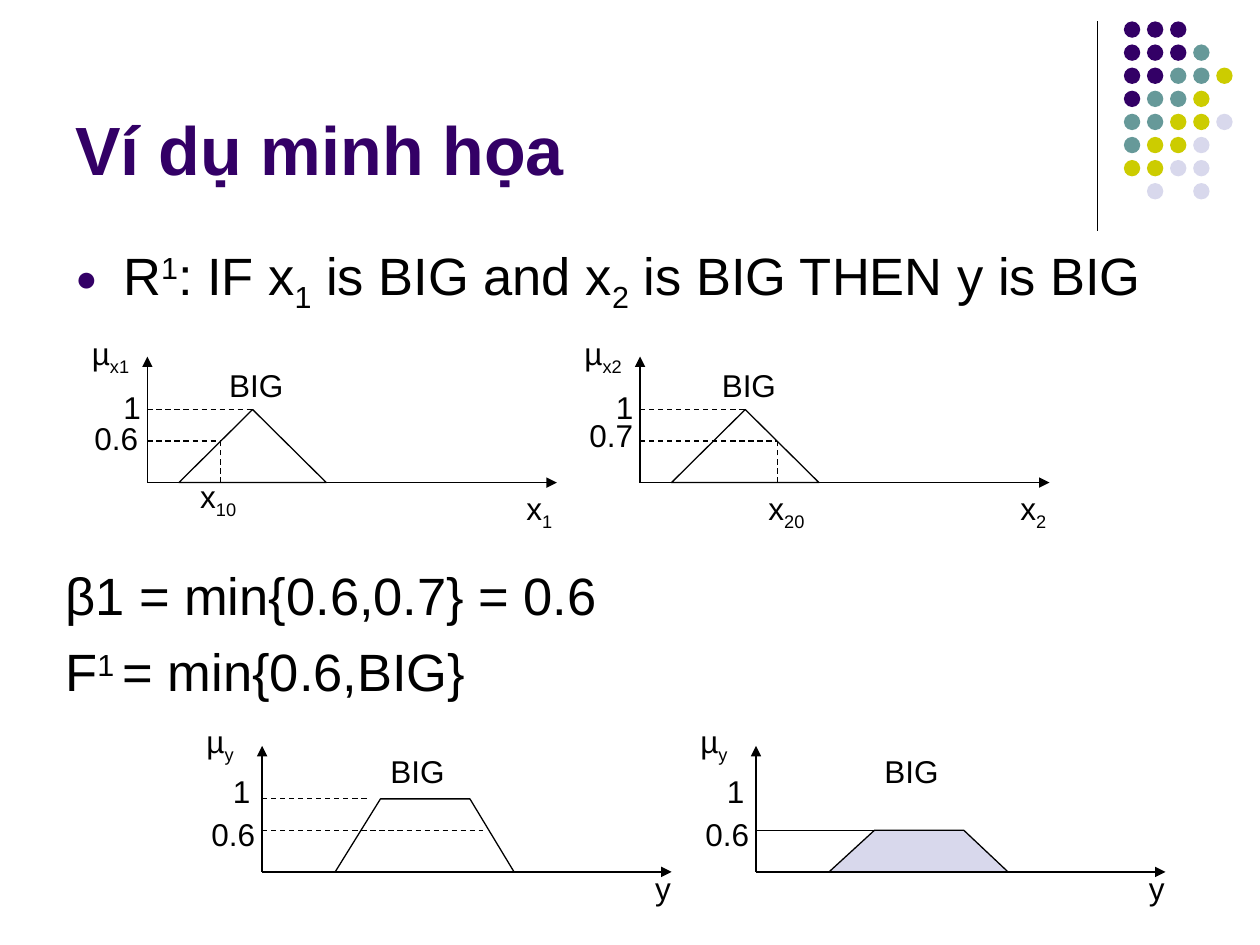
from dataclasses import dataclass

from lxml import etree
from pptx import Presentation
from pptx.dml.color import RGBColor
from pptx.enum.dml import MSO_LINE
from pptx.enum.shapes import MSO_CONNECTOR, MSO_SHAPE
from pptx.enum.text import MSO_ANCHOR
from pptx.oxml.ns import qn
from pptx.util import Inches, Pt

STRAIGHT = MSO_CONNECTOR.STRAIGHT
OVAL, TRIANGLE = MSO_SHAPE.OVAL, MSO_SHAPE.ISOSCELES_TRIANGLE
DASH = MSO_LINE.DASH
TOP, BOTTOM = MSO_ANCHOR.TOP, MSO_ANCHOR.BOTTOM


@dataclass(frozen=True)
class Theme:
    font: str = "Arial"
    ink: str = "000000"
    purple: str = "330066"
    teal: str = "669999"
    yellow: str = "CCCC00"
    lavender: str = "D8D8EC"
    title_size: float = 39
    body_size: float = 30
    label_size: float = 18
    line_width: float = 0.75
    body_gap: float = 7.5


THEME = Theme()
SUP, SUB = 30, -25

TITLE = [("Ví dụ minh họa", 0)]
RULE = [("R", 0), ("1", SUP), (": IF x", 0), ("1", SUB), (" is BIG and x", 0),
        ("2", SUB), (" is BIG THEN y is BIG", 0)]
RESULTS = [
    [("β1 = min{0.6,0.7} = 0.6", 0)],
    [("F", 0), ("1 ", SUP), ("= min{0.6,BIG}", 0)],
]

DOT_ROWS = ["PPP", "PPPT", "PPTTY", "PTTY", "TTYYL", "TYYL", "YYLL", " L L"]
DOT_COLORS = {"P": THEME.purple, "T": THEME.teal, "Y": THEME.yellow, "L": THEME.lavender}
DOT_LEFT, DOT_TOP, DOT_SIZE, DOT_PITCH = 8.92, 0.17, 0.13, 0.18 + 0.01 / 3

AXIS_WIDTH, AXIS_HEIGHT = 3.25, 1
FULL, CUT = 0.58, 0.33
TRIANGLE_LEFT, TRIANGLE_WIDTH = 0.25, 1.17
TRAPEZOID_BASE, TRAPEZOID_TOP = (0.58, 2), (0.94, 1.65)
LABEL_WIDTH = 0.75

INPUT_LABELS = [("1", "", -0.29, -0.8), ("BIG", "", 0.55, -0.97)]
OUTPUT_LABELS = [("µ", "y", -0.54, -1.24), ("y", "", 3.02, -0.07), ("1", "", -0.33, -0.84),
                 ("BIG", "", 0.92, -1), ("0.6", "", -0.5, -0.5)]

CHARTS = [
    {"origin": (1.17, 3.83), "shape": "triangle", "height": FULL, "fill": None,
     "guides": [(0, FULL, 0.83, FULL), (0, CUT, 0.58, CUT), (0.58, 0, 0.58, CUT)],
     "dash": DASH,
     "labels": INPUT_LABELS + [("µ", "x1", -0.54, -1.23), ("x", "1", 2.91, 0),
                               ("x", "10", 0.32, -0.09), ("0.6", "", -0.52, -0.55)]},
    {"origin": (5.08, 3.83), "shape": "triangle", "height": FULL, "fill": None,
     "guides": [(0, FULL, 0.83, FULL), (0, CUT, 1.09, CUT), (1.09, 0, 1.09, CUT)],
     "dash": DASH,
     "labels": INPUT_LABELS + [("µ", "x2", -0.54, -1.23), ("x", "2", 2.92, 0),
                               ("x", "20", 0.92, 0), ("0.7", "", -0.5, -0.58)]},
    {"origin": (2.08, 6.92), "shape": "trapezoid", "height": FULL, "fill": None,
     "guides": [(0, FULL, 0.83, FULL), (0, CUT, 1.75, CUT)],
     "dash": DASH, "labels": OUTPUT_LABELS},
    {"origin": (6, 6.92), "shape": "trapezoid", "height": CUT, "fill": THEME.lavender,
     "guides": [(0, CUT, 1.42, CUT)],
     "dash": None, "labels": OUTPUT_LABELS},
]


def rgb(value):
    return RGBColor.from_string(value)


def add_text(page, area, paragraphs, size, color=THEME.ink, bold=False,
             anchor=TOP, hanging=0, bullet=None):
    box = page.shapes.add_textbox(*(Inches(part) for part in area))
    frame = box.text_frame
    frame.word_wrap = True
    frame.vertical_anchor = anchor
    for index, spans in enumerate(paragraphs):
        para = frame.paragraphs[0] if index == 0 else frame.add_paragraph()
        if index:
            para.space_before = Pt(THEME.body_gap)
        props = para._p.get_or_add_pPr()
        if hanging:
            props.set("marL", str(Inches(hanging)))
            props.set("indent", str(-Inches(hanging)))
        if bullet:
            tint = etree.SubElement(props, qn("a:buClr"))
            etree.SubElement(tint, qn("a:srgbClr"), val=THEME.purple)
            etree.SubElement(props, qn("a:buSzPct"), val="70000")
            etree.SubElement(props, qn("a:buFont"), typeface=THEME.font)
            etree.SubElement(props, qn("a:buChar"), char=bullet)
        for words, baseline in spans:
            span = para.add_run()
            span.text = words
            span.font.name = THEME.font
            span.font.size = Pt(size)
            span.font.bold = bold
            span.font.color.rgb = rgb(color)
            if baseline:
                span._r.get_or_add_rPr().set("baseline", str(baseline * 1000))


def add_line(page, start, end, dash=None, arrow=False):
    line = page.shapes.add_connector(STRAIGHT, *(Inches(part) for part in (*start, *end)))
    line.line.color.rgb = rgb(THEME.ink)
    line.line.width = Pt(THEME.line_width)
    if dash:
        line.line.dash_style = dash
    if arrow:
        etree.SubElement(line.line._get_or_add_ln(), qn("a:tailEnd"), type="triangle")
    etree.SubElement(line._element.spPr, qn("a:effectLst"))


def style_shape(shape, fill=None, outline=None):
    shape.shadow.inherit = False
    if fill:
        shape.fill.solid()
        shape.fill.fore_color.rgb = rgb(fill)
    else:
        shape.fill.background()
    if outline:
        shape.line.color.rgb = rgb(outline)
        shape.line.width = Pt(THEME.line_width)
    else:
        shape.line.fill.background()


def add_dots(page):
    for row, codes in enumerate(DOT_ROWS):
        for column, code in enumerate(codes):
            if code in DOT_COLORS:
                dot = page.shapes.add_shape(
                    OVAL, Inches(DOT_LEFT + column * DOT_PITCH),
                    Inches(DOT_TOP + row * DOT_PITCH), Inches(DOT_SIZE), Inches(DOT_SIZE))
                style_shape(dot, DOT_COLORS[code])


def add_membership(page, chart):
    left, base = chart["origin"]
    height = chart["height"]
    if chart["shape"] == "triangle":
        shape = page.shapes.add_shape(
            TRIANGLE, Inches(left + TRIANGLE_LEFT), Inches(base - height),
            Inches(TRIANGLE_WIDTH), Inches(height))
    else:
        (base_start, base_end), (top_start, top_end) = TRAPEZOID_BASE, TRAPEZOID_TOP
        corners = [(base_start, 0), (top_start, height), (top_end, height), (base_end, 0)]
        points = [(Inches(left + x), Inches(base - y)) for x, y in corners]
        outline = page.shapes.build_freeform(*points[0])
        outline.add_line_segments(points[1:], close=True)
        shape = outline.convert_to_shape()
    style_shape(shape, chart["fill"], THEME.ink)


def add_fuzzy_chart(page, chart):
    left, base = chart["origin"]
    add_line(page, (left, base), (left, base - AXIS_HEIGHT), arrow=True)
    add_line(page, (left, base), (left + AXIS_WIDTH, base), arrow=True)
    add_membership(page, chart)
    for x1, y1, x2, y2 in chart["guides"]:
        add_line(page, (left + x1, base - y1), (left + x2, base - y2), chart["dash"])
    for words, index, dx, dy in chart["labels"]:
        spans = [(words, 0)] + ([(index, SUB)] if index else [])
        area = (left + dx, base + dy, LABEL_WIDTH, 0.44 if index else 0.4)
        add_text(page, area, [spans], THEME.label_size)


def main():
    deck = Presentation()
    deck.slide_width, deck.slide_height = Inches(10), Inches(7.5)
    page = deck.slides.add_slide(deck.slide_layouts[6])
    add_line(page, (8.71, 0.17), (8.71, 1.83))
    add_dots(page)
    add_text(page, (0.5, 0.13, 8.25, 1.42), [TITLE], THEME.title_size,
             THEME.purple, bold=True, anchor=BOTTOM)
    add_text(page, (0.5, 1.88, 9, 2.45), [RULE], THEME.body_size, hanging=0.38, bullet="●")
    add_text(page, (0.42, 4.42, 9, 2.45), RESULTS, THEME.body_size, hanging=0.38)
    for chart in CHARTS:
        add_fuzzy_chart(page, chart)
    deck.save("out.pptx")


if __name__ == "__main__":
    main()
